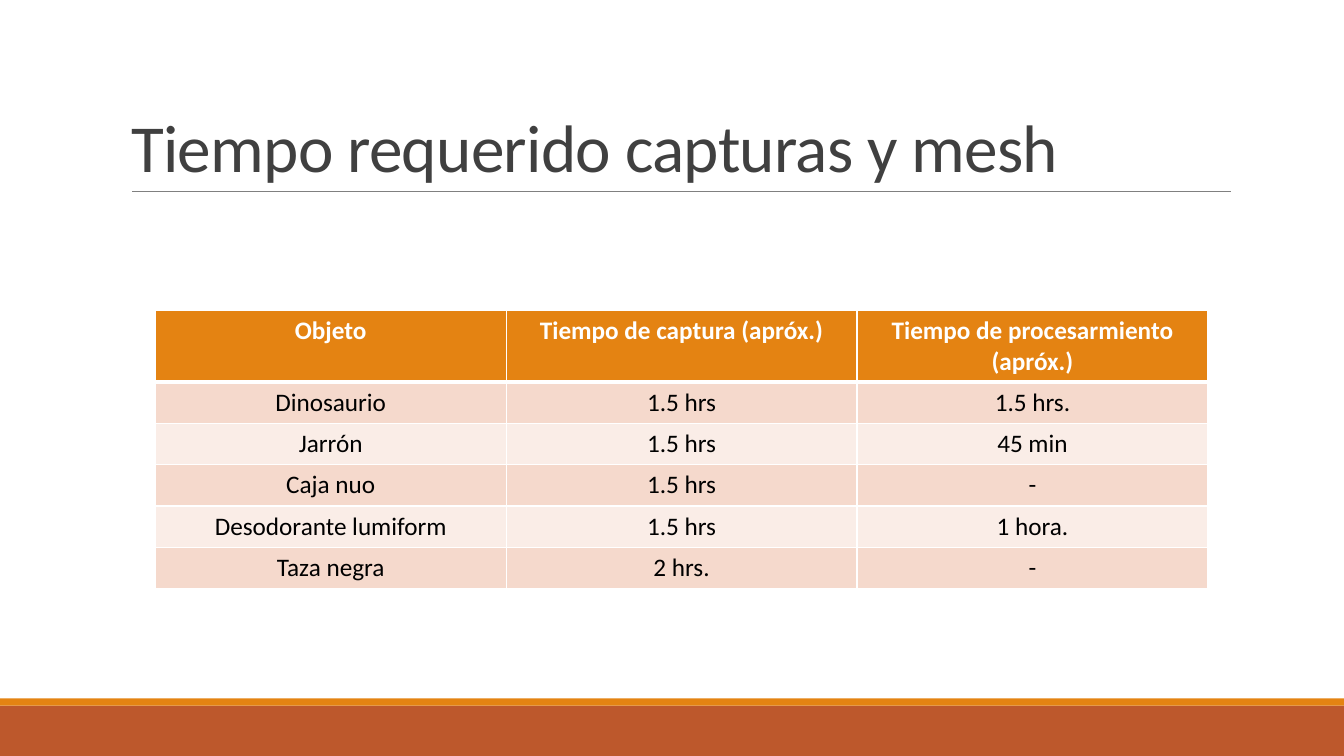
import pptx
import pptx.dml.color
import pptx.enum.shapes
import pptx.enum.text
import pptx.oxml.ns
import pptx.util
from lxml import etree
from pptx.util import Inches

FONT = "Calibri"
COLORS = {
    "orange": "E48312",
    "rust": "BD582C",
    "rule": "808080",
    "title": "404040",
    "white": "FFFFFF",
    "black": "000000",
    "band_dark": "F5D9CC",
    "band_light": "FAEDE7",
}
TIMES = [
    ("Objeto", "Tiempo de captura (apróx.)", "Tiempo de procesarmiento (apróx.)"),
    ("Dinosaurio", "1.5 hrs", "1.5 hrs."),
    ("Jarrón", "1.5 hrs", "45 min"),
    ("Caja nuo", "1.5 hrs", "-"),
    ("Desodorante lumiform", "1.5 hrs", "1 hora."),
    ("Taza negra", "2 hrs.", "-"),
]


def rgb(name):
    return pptx.dml.color.RGBColor.from_string(COLORS[name])


def write_text(frame, text, *, size, color, bold=False, align="LEFT",
               line_spacing=None, tracking=None):
    """Put one formatted paragraph in a text frame; tracking is in points."""
    paragraph = frame.paragraphs[0]
    paragraph.alignment = getattr(pptx.enum.text.PP_ALIGN, align)
    if line_spacing is not None:
        paragraph.line_spacing = line_spacing
    run = paragraph.add_run()
    run.text = text
    run.font.name = FONT
    run.font.size = pptx.util.Pt(size)
    run.font.bold = bold
    run.font.color.rgb = rgb(color)
    if tracking is not None:
        run.font._element.set("spc", str(round(tracking * 100)))


def add_band(slide, top, height, color):
    """Add a full-width strip at the foot of the slide."""
    band = slide.shapes.add_shape(
        pptx.enum.shapes.MSO_SHAPE.RECTANGLE,
        0, Inches(top), Inches(13.33), Inches(height))
    band.shadow.inherit = False
    band.fill.solid()
    band.fill.fore_color.rgb = rgb(color)
    band.line.fill.background()


def add_title_rule(slide):
    rule = slide.shapes.add_connector(
        pptx.enum.shapes.MSO_CONNECTOR.STRAIGHT,
        Inches(1.31), Inches(1.9), Inches(12.21), Inches(1.9))
    rule.line.color.rgb = rgb("rule")
    rule.line.width = pptx.util.Pt(0.5)
    etree.SubElement(rule._element.spPr, pptx.oxml.ns.qn("a:effectLst"))


def set_title(slide, text):
    title = slide.shapes.title
    title.left, title.top = Inches(1.2), Inches(0.31)
    title.width, title.height = Inches(11), Inches(1.59)
    frame = title.text_frame
    frame.word_wrap = True
    frame.auto_size = pptx.enum.text.MSO_AUTO_SIZE.NONE
    frame.vertical_anchor = pptx.enum.text.MSO_ANCHOR.BOTTOM
    write_text(frame, text, size=48, color="title",
               line_spacing=0.85, tracking=-0.5)


def set_borders(cell, **widths):
    """Draw white cell borders; widths are points by side: L, R, T, B."""
    properties = cell._tc.get_or_add_tcPr()
    for side, width in widths.items():
        border = etree.SubElement(
            properties, pptx.oxml.ns.qn(f"a:ln{side}"),
            w=str(pptx.util.Pt(width)))
        fill = etree.SubElement(border, pptx.oxml.ns.qn("a:solidFill"))
        etree.SubElement(fill, pptx.oxml.ns.qn("a:srgbClr"), val=COLORS["white"])


def add_times_table(slide):
    row_height = 0.41
    times = slide.shapes.add_table(
        len(TIMES), len(TIMES[0]), Inches(1.54), Inches(3.08),
        Inches(10.44), Inches(row_height * len(TIMES))).table
    for row_index, entries in enumerate(TIMES):
        is_header = row_index == 0
        times.rows[row_index].height = Inches(row_height)
        band = "band_dark" if row_index % 2 else "band_light"
        for column_index, entry in enumerate(entries):
            cell = times.cell(row_index, column_index)
            set_borders(cell, L=1, R=1, T=3 if row_index == 1 else 1,
                        B=3 if is_header else 1)
            cell.fill.solid()
            cell.fill.fore_color.rgb = rgb("orange" if is_header else band)
            write_text(cell.text_frame, entry, size=18, bold=is_header,
                       color="white" if is_header else "black", align="CENTER")


def main():
    deck = pptx.Presentation()
    deck.slide_width, deck.slide_height = Inches(13.33), Inches(7.5)
    slide = deck.slides.add_slide(deck.slide_layouts.get_by_name("Title Only"))
    slide.background.fill.solid()
    slide.background.fill.fore_color.rgb = rgb("white")
    add_band(slide, 7, 0.5, "rust")
    add_band(slide, 6.93, 0.07, "orange")
    add_title_rule(slide)
    set_title(slide, "Tiempo requerido capturas y mesh")
    add_times_table(slide)
    deck.save("out.pptx")


if __name__ == "__main__":
    main()
